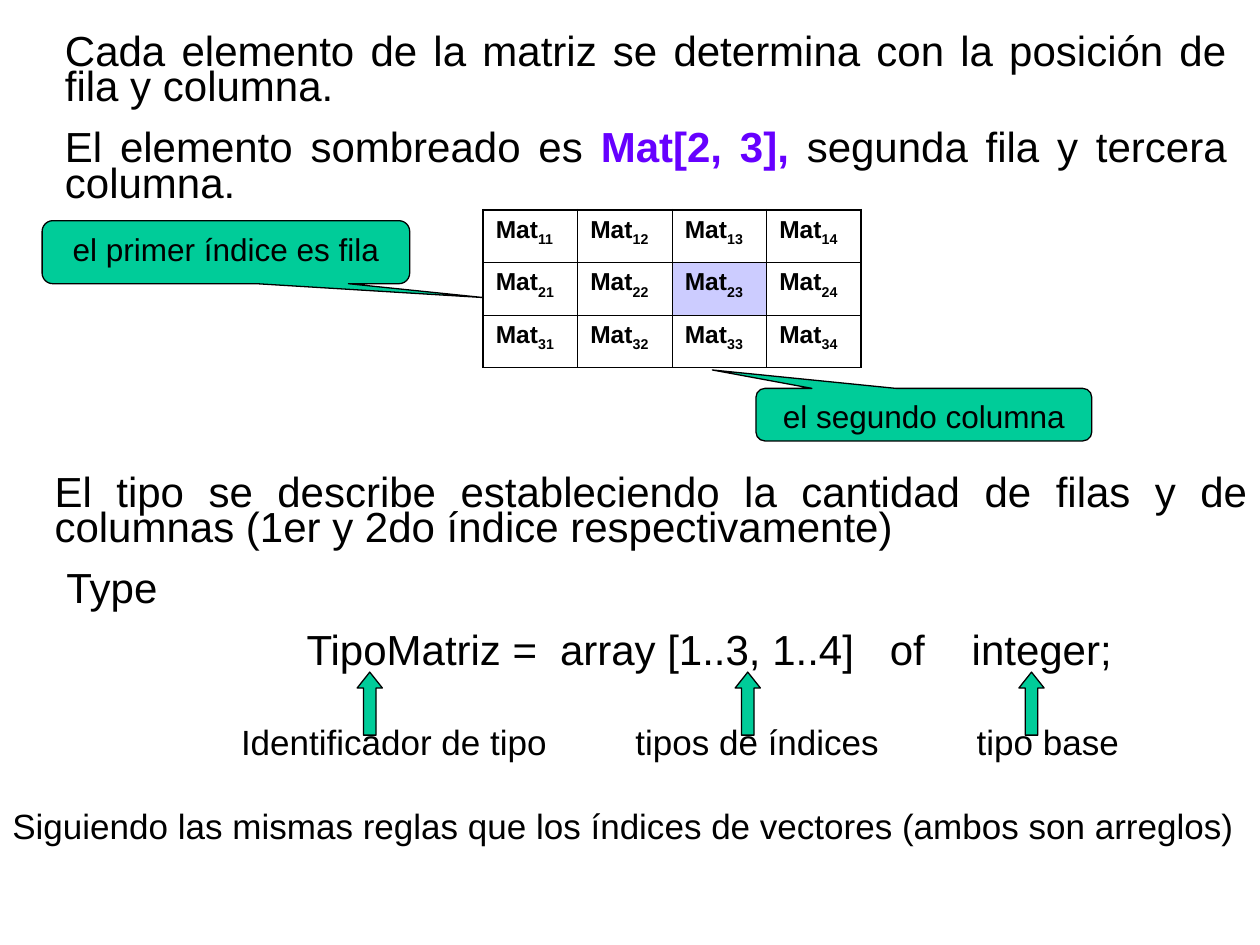
from lxml import etree
from pptx import Presentation
from pptx import util as u
from pptx.dml import color as dml
from pptx.enum import shapes, text
from pptx.oxml import ns

COLORS = {"ink": "000000", "accent": "6600FF", "green": "00CC99", "shade": "CCCCFF"}
FONT = "Arial"
ALIGN = text.PP_ALIGN


def rgb(name):
    """Return the named colour."""
    return dml.RGBColor.from_string(COLORS[name])


def set_font(font, size, color="ink", bold=False):
    """Set name, size, colour and weight of a font."""
    font.name, font.size, font.bold = FONT, u.Pt(size), bold
    font.color.rgb = rgb(color)


def add_box(s, box):
    """Add a wrapping text box and return its text frame."""
    tf = s.shapes.add_textbox(*map(u.Cm, box)).text_frame
    tf.word_wrap = True
    return tf


def add_line(tf, parts, size=24, align=ALIGN.JUSTIFY, before=15, stops=()):
    """Add a tightly spaced paragraph of (text, accented) parts with tab stops."""
    p = tf.add_paragraph() if tf.text else tf.paragraphs[0]
    p.alignment, p.line_spacing, p.space_before = align, 0.7, u.Pt(before)
    if stops:
        tabs = etree.SubElement(p._p.get_or_add_pPr(), ns.qn("a:tabLst"))
        for stop in stops:
            etree.SubElement(tabs, ns.qn("a:tab"), pos=str(u.Cm(stop)), algn="l")
    set_font(p.font, size)
    for words, accented in parts:
        r = p.add_run()
        r.text = words
        if accented:
            set_font(r.font, size, "accent", True)
    return p


def add_intro(s, box):
    """Place the paragraphs on locating an element."""
    tf = add_box(s, box)
    add_line(tf, [("Cada elemento de la matriz se determina con la posición de fila y columna.", False)])
    add_line(tf, [("El elemento sombreado es ", False), ("Mat[2, 3],", True),
                  (" segunda fila y tercera columna.", False)])


def set_borders(cell, edges):
    """Draw the cell edges, thicker where an edge is on the outside."""
    tcPr = cell._tc.get_or_add_tcPr()
    for i, (tag, outer) in enumerate(edges.items()):
        ln = etree.Element(ns.qn("a:" + tag), w=str(u.Pt(1.08 if outer else 0.45)))
        fill = etree.SubElement(ln, ns.qn("a:solidFill"))
        etree.SubElement(fill, ns.qn("a:srgbClr"), val=COLORS["ink"])
        tcPr.insert(i, ln)


def add_matrix(s, box, rows=3, cols=4, shaded=(2, 3)):
    """Place the matrix with one shaded element."""
    table = s.shapes.add_table(rows, cols, *map(u.Cm, box)).table
    table.first_row = table.horz_banding = False
    for i in range(1, rows + 1):
        for j in range(1, cols + 1):
            cell = table.cell(i - 1, j - 1)
            if (i, j) == shaded:
                cell.fill.solid()
                cell.fill.fore_color.rgb = rgb("shade")
            else:
                cell.fill.background()
            set_borders(cell, {"lnL": j == 1, "lnR": j == cols, "lnT": i == 1, "lnB": i == rows})
            p = cell.text_frame.paragraphs[0]
            p.space_before = u.Pt(3.5)
            set_font(p.font, 14, bold=True)
            p.add_run().text = "Mat"
            r = p.add_run()
            r.text = f"{i}{j}"
            r.font._element.set("baseline", "-25000")


def add_green(s, kind, box, adjustments):
    """Add a green outlined shape."""
    sp = s.shapes.add_shape(kind, *map(u.Cm, box))
    sp.shadow.inherit = False
    sp.fill.solid()
    sp.fill.fore_color.rgb = rgb("green")
    sp.line.color.rgb = rgb("ink")
    sp.line.width = u.Pt(0.75)
    for i, value in enumerate(adjustments):
        sp.adjustments[i] = value
    return sp


def add_callout(s, box, words, tip):
    """Place a callout whose tip is given relative to its centre."""
    sp = add_green(s, shapes.MSO_SHAPE.ROUNDED_RECTANGULAR_CALLOUT, box, (*tip, 0.17))
    tf = sp.text_frame
    tf.vertical_anchor = text.MSO_ANCHOR.TOP
    p = tf.paragraphs[0]
    p.text, p.alignment = words, ALIGN.CENTER
    set_font(p.font, 18)


def add_declaration(s, box):
    """Place the type declaration with arrows from its labels."""
    left, top, _, _ = box
    tf = add_box(s, box)
    add_line(tf, [("El tipo se describe estableciendo la cantidad de filas y de columnas "
                   "(1er y 2do índice respectivamente)", False)])
    p = add_line(tf, [("Type", False)])
    p._p.get_or_add_pPr().set("marL", str(u.Cm(0.24)))
    add_line(tf, [("\tTipoMatriz =\tarray [1..3, 1..4]\tof\tinteger;", False)],
             align=ALIGN.LEFT, stops=(5.08, 10.19, 16.84, 18.49))
    add_line(tf, [("\tIdentificador de tipo\ttipos de índices\ttipo base", False)],
             size=20, align=ALIGN.LEFT, before=34, stops=(3.76, 11.71, 18.59))
    for x in (6.35, 13.97, 19.69):
        add_green(s, shapes.MSO_SHAPE.UP_ARROW, (left + x, top + 4.02, 0.51, 1.27), (0.5, 0.63))


def add_closing(s, box):
    """Place the closing remark."""
    add_line(add_box(s, box), [("Siguiendo las mismas reglas que los índices de vectores "
                                "(ambos son arreglos)", False)], size=20, before=12.5)


def main():
    """Build the slide and save it."""
    prs = Presentation()
    prs.slide_width, prs.slide_height = u.Cm(25.4), u.Cm(19.05)
    s = prs.slides.add_slide(prs.slide_layouts[6])
    add_intro(s, (1.06, 0.64, 23.92, 3.63))
    add_matrix(s, (9.74, 4.23, 7.62, 3.18))
    add_declaration(s, (0.85, 9.53, 24.55, 6.02))
    add_callout(s, (0.85, 4.45, 7.41, 1.27), "el primer índice es fila", (0.7, 0.72))
    add_callout(s, (15.24, 7.83, 6.77, 1.06), "el segundo columna", (-0.63, -0.85))
    add_closing(s, (0, 16.33, 25.4, 2.13))
    prs.save("out.pptx")


if __name__ == "__main__":
    main()
